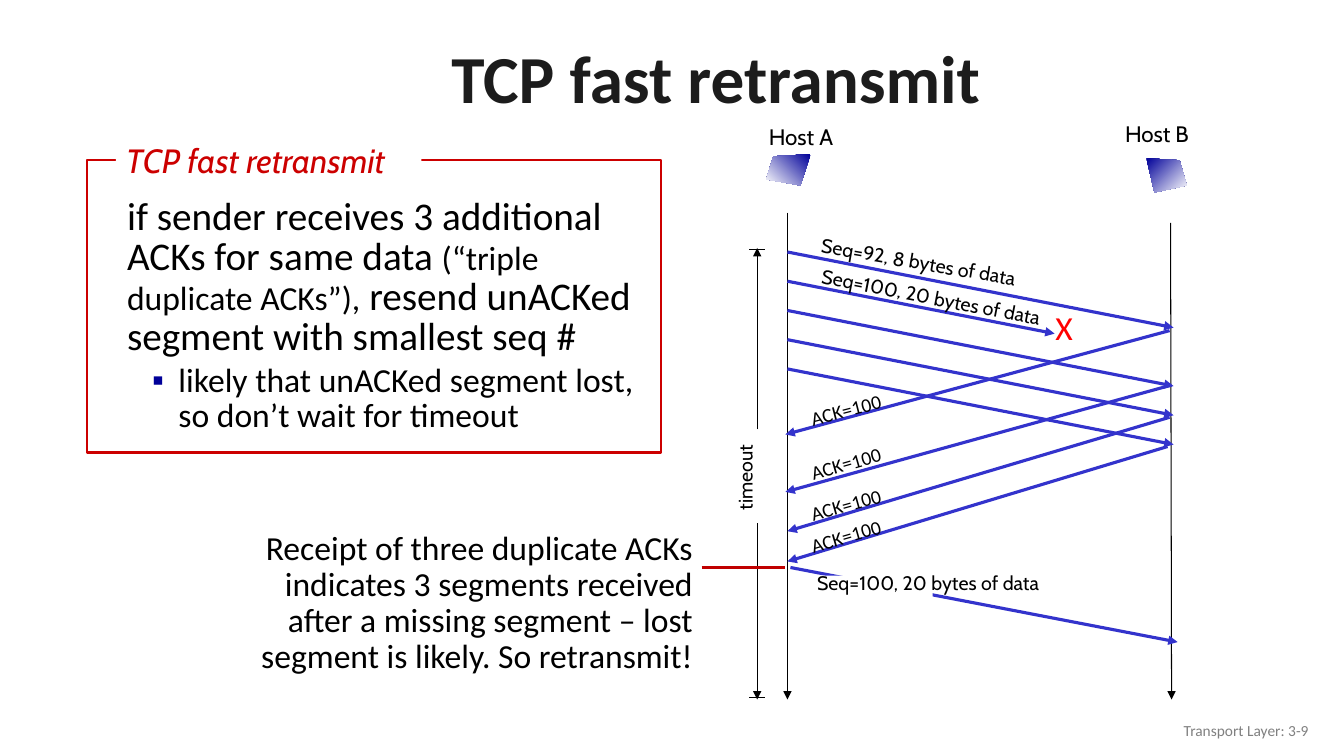
from lxml import etree
from pptx import Presentation
from pptx.dml.color import RGBColor
from pptx.enum.shapes import MSO_CONNECTOR, MSO_SHAPE
from pptx.enum.text import MSO_ANCHOR, MSO_AUTO_SIZE, PP_ALIGN
from pptx.oxml.ns import qn
from pptx.util import Inches, Pt

LEFT, CENTER, RIGHT = PP_ALIGN.LEFT, PP_ALIGN.CENTER, PP_ALIGN.RIGHT
TOP, MIDDLE = MSO_ANCHOR.TOP, MSO_ANCHOR.MIDDLE
RECTANGLE = MSO_SHAPE.RECTANGLE
STRAIGHT = MSO_CONNECTOR.STRAIGHT
NO_AUTOFIT = MSO_AUTO_SIZE.NONE

COLORS = {
    "title": "1C1C1C",
    "text": "000000",
    "segment": "3333CC",
    "navy": "000099",
    "frame": "CC0000",
    "callout": "C00000",
    "loss": "FF0000",
    "footer": "808080",
    "white": "FFFFFF",
}


def color(name):
    return RGBColor.from_string(COLORS[name])


class SlideBuilder:
    """Holds the text style and the page being built."""

    def __init__(self, page):
        self.page = page
        self.style = {"name": "Calibri", "size": 14, "bold": False, "italic": False}

    def span(self, para, text, ink="text", **changes):
        span = para.add_run()
        span.text = text
        values = {**self.style, **changes}
        values["size"] = Pt(values["size"])
        for name, value in values.items():
            setattr(span.font, name, value)
        span.font.color.rgb = color(ink)

    def place(self, box, left, top, width, height):
        values = {"left": left, "top": top, "width": width, "height": height}
        for name, value in values.items():
            setattr(box, name, Inches(value))

    def frame(self, box, anchor=TOP, wrap=True):
        values = {"auto_size": NO_AUTOFIT, "word_wrap": wrap, "vertical_anchor": anchor}
        for name, value in values.items():
            setattr(box.text_frame, name, value)
        return box.text_frame

    def text(self, area, text, align=CENTER, anchor=TOP, wrap=False, turn=0,
             spacing=1.0, **font):
        box = self.page.shapes.add_textbox(*map(Inches, area))
        box.rotation = turn
        para = self.frame(box, anchor, wrap).paragraphs[0]
        para.alignment = align
        para.line_spacing = spacing
        self.span(para, text, **font)
        return box

    def bullet(self, para, sign, ink, margin, indent):
        props = para._p.get_or_add_pPr()
        props.set("marL", str(Inches(margin)))
        props.set("indent", str(Inches(indent)))
        if not sign:
            etree.SubElement(props, qn("a:buNone"))
            return
        tint = etree.SubElement(props, qn("a:buClr"))
        etree.SubElement(tint, qn("a:srgbClr"), val=COLORS[ink])
        etree.SubElement(props, qn("a:buChar"), char=sign)

    def line(self, start, end, ink="text", width=0.75, arrow=False):
        line = self.page.shapes.add_connector(STRAIGHT, *map(Inches, (*start, *end)))
        line.line.color.rgb = color(ink)
        line.line.width = Pt(width)
        if arrow:
            etree.SubElement(line.line._get_or_add_ln(), qn("a:tailEnd"), type="triangle")
        etree.SubElement(line._element.spPr, qn("a:effectLst"))

    def rectangle(self, area, fill=None, outline=None, width=1.5):
        box = self.page.shapes.add_shape(RECTANGLE, *map(Inches, area))
        box.shadow.inherit = False
        if fill:
            box.fill.solid()
            box.fill.fore_color.rgb = color(fill)
        else:
            box.fill.background()
        if outline:
            box.line.color.rgb = color(outline)
            box.line.width = Pt(width)
        else:
            box.line.fill.background()
        return box

    def host_icon(self, points, angle):
        corners = [(Inches(x), Inches(y)) for x, y in points]
        outline = self.page.shapes.build_freeform(*corners[0])
        outline.add_line_segments(corners[1:], close=True)
        icon = outline.convert_to_shape()
        icon.shadow.inherit = False
        icon.line.fill.background()
        icon.fill.gradient()
        icon.fill.gradient_angle = angle
        for stop, ink in zip(icon.fill.gradient_stops, ("navy", "white")):
            stop.color.rgb = color(ink)


def main():
    deck = Presentation()
    deck.slide_width, deck.slide_height = Inches(13.33), Inches(7.5)
    page = deck.slides.add_slide(deck.slide_layouts[1])
    build = SlideBuilder(page)

    # Title
    title = page.shapes.title
    build.place(title, 0.87, 0.32, 12.46, 0.98)
    para = build.frame(title, MIDDLE).paragraphs[0]
    para.alignment = CENTER
    para.line_spacing = 0.9
    build.span(para, "TCP fast retransmit", "title", size=48, bold=True)

    # Framed rule with its label
    body = page.placeholders[1]
    build.place(body, 1.16, 1.92, 5.26, 2.48)
    content = build.frame(body)
    rule, detail = content.paragraphs[0], content.add_paragraph()
    detail.level = 1
    build.bullet(rule, None, None, 0, 0)
    build.bullet(detail, "▪", "navy", 0.51, -0.26)
    for para, before in ((rule, 0), (detail, 4.8)):
        para.alignment = LEFT
        para.line_spacing = 0.85
        para.space_before = Pt(before)
    build.span(rule, "if sender receives 3 additional ACKs for same data ", size=28)
    build.span(rule, "(“triple duplicate ACKs”),", size=24)
    build.span(rule, " resend unACKed segment with smallest seq #", size=28)
    build.span(detail, "likely that unACKed segment lost, so don’t wait for timeout", size=24)
    build.rectangle((0.86, 1.59, 5.7, 2.9), outline="frame")
    build.rectangle((1.15, 1.34, 3.03, 0.5), fill="white")
    build.text((1.15, 1.34, 3.03, 0.5), "TCP fast retransmit", LEFT, ink="frame",
               name="Cabin", size=24, italic=True)

    # Hosts and their time lines
    build.text((7.36, 1.17, 1.17, 0.43), "Host A", name="Cabin", size=16)
    build.text((10.89, 1.14, 1.17, 0.43), "Host B", name="Cabin", size=16)
    build.host_icon([(8.04, 1.53), (7.67, 1.55), (7.6, 1.78), (7.94, 1.84)], 225)
    build.host_icon([(11.37, 1.57), (11.7, 1.59), (11.77, 1.84), (11.45, 1.91)], 315)
    build.line((7.81, 2.11), (7.81, 6.94), arrow=True)
    build.line((11.61, 2.21), (11.62, 6.94), arrow=True)

    # Timeout span
    timeout = build.text((7.22, 4.3, 0.6, 0.87), "timeout", name="Cabin")
    timeout.text_frame._txBody.bodyPr.set("vert", "vert270")
    for start, end, tick in ((4.26, 2.46, 2.48), (5.19, 6.94, 6.92)):
        build.line((7.51, start), (7.51, end), arrow=True)
        build.line((7.43, tick), (7.59, tick))

    # Acknowledgements from B to A
    acks = [
        ((11.6, 3.28), (7.79, 4.31), 3.9, 345.6),
        ((11.62, 3.82), (7.79, 4.88), 4.43, 343.9),
        ((11.6, 4.14), (7.81, 5.27), 4.84, 344.3),
        ((11.58, 4.43), (7.81, 5.57), 5.15, 343.8),
    ]
    for start, end, top, turn in acks:
        build.line(start, end, "segment", 2.25, arrow=True)
        build.text((7.93, top, 0.92, 0.34), "ACK=100", turn=turn)

    # Data segments from A to B, the second one lost
    for number in range(5):
        sent = 2.5 + 0.29 * number
        end = (10.46, 3.31) if number == 1 else (11.64, sent + 0.75)
        build.line((7.81, sent), end, "segment", 2.25, arrow=True)
    build.text((10.34, 3, 0.43, 0.5), "X", wrap=True, ink="loss", size=24)
    build.text((7.95, 2.43, 2.32, 0.34), "Seq=92, 8 bytes of data", turn=9.7, name="Cabin")
    build.text((7.97, 2.78, 2.53, 0.34), "Seq=100, 20 bytes of data", turn=11.1, name="Cabin")

    # Retransmitted segment
    build.line((7.84, 5.63), (11.68, 6.37), "segment", 2.25, arrow=True)
    build.rectangle((8.1, 5.71, 1.15, 0.29), fill="white")
    build.text((7.48, 5.61, 3.45, 0.39), "Seq=100, 20 bytes of data", name="Cabin")

    # Callout and footer
    build.text((2.44, 5.22, 4.53, 1.56),
               "Receipt of three duplicate ACKs indicates 3 segments received after "
               "a missing segment – lost segment is likely. So retransmit!",
               RIGHT, wrap=True, spacing=0.9, size=24)
    build.line((6.96, 5.63), (7.79, 5.63), "callout", 1.75)
    build.text((10.08, 7.05, 3, 0.4), "Transport Layer: 3-9", RIGHT, MIDDLE, True,
               ink="footer", size=11)

    deck.save("out.pptx")


if __name__ == "__main__":
    main()
